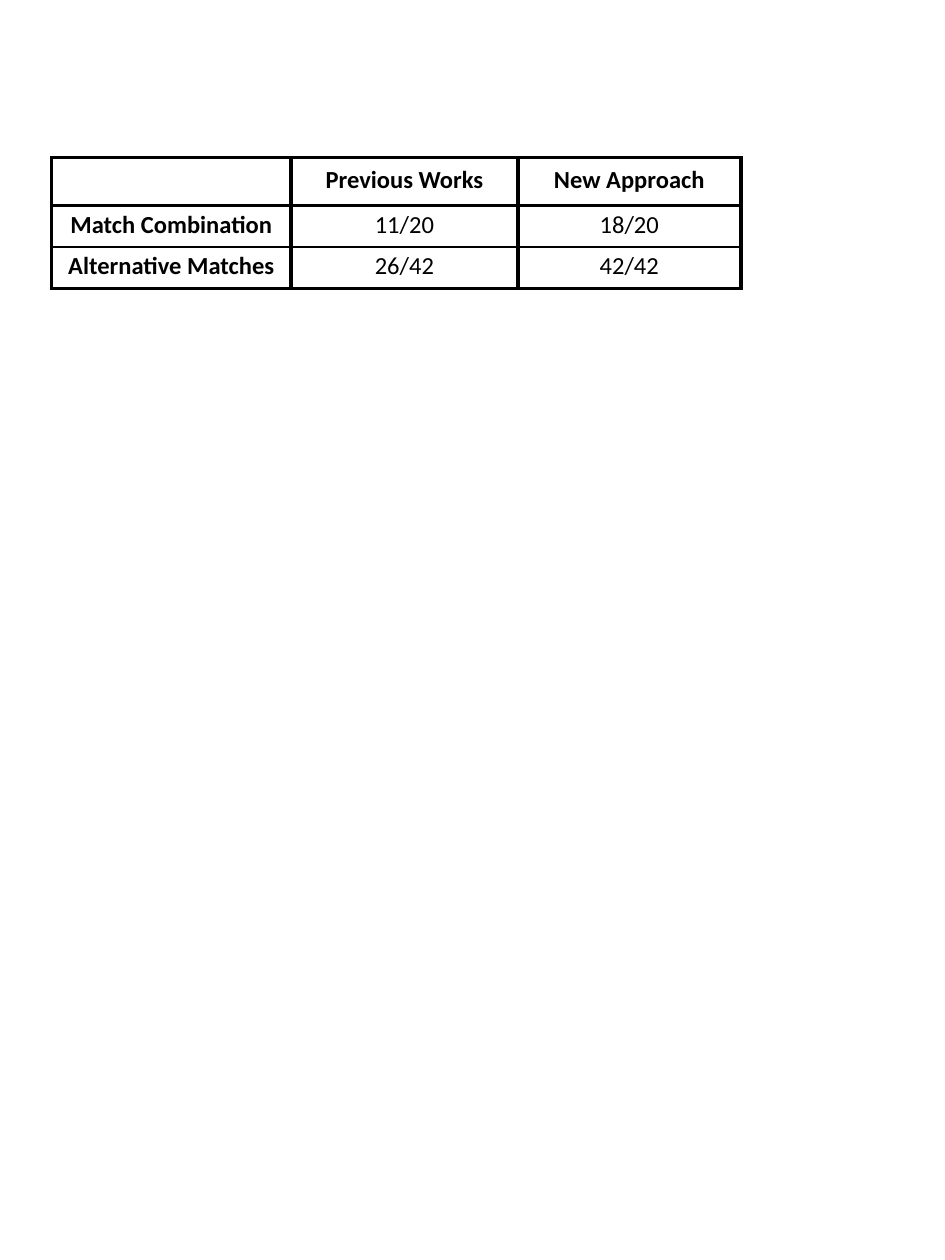
from lxml.etree import SubElement
from pptx import Presentation
from pptx.dml.color import RGBColor as Color
from pptx.enum.text import MSO_ANCHOR as Anchor, PP_ALIGN as Align
from pptx.oxml.ns import qn
from pptx.util import Inches, Pt

COLORS = {"ink": "000000", "paper": "FFFFFF"}
THICK, THIN = 2.25, 1
COLUMN_WIDTHS = [1.9, 1.8, 1.77]
ROW_HEIGHTS = [0.38, 0.32, 0.32]
RESULTS = [
    ["", "Previous Works", "New Approach"],
    ["Match Combination", "11/20", "18/20"],
    ["Alternative Matches", "26/42", "42/42"],
]


def set_borders(cell, widths):
    properties = cell._tc.get_or_add_tcPr()
    for index, (side, width) in enumerate(widths.items()):
        line = properties.makeelement(qn(f"a:ln{side}"), {"w": str(Pt(width))})
        fill = SubElement(line, qn("a:solidFill"))
        SubElement(fill, qn("a:srgbClr"), val=COLORS["ink"])
        properties.insert(index, line)


def fill_cell(cell, text, bold):
    cell.fill.solid()
    cell.fill.fore_color.rgb = Color.from_string(COLORS["paper"])
    cell.vertical_anchor = Anchor.MIDDLE
    cell.margin_left = cell.margin_right = Inches(0.07)
    cell.margin_top = cell.margin_bottom = Inches(0.07 if text else 0.03)
    para = cell.text_frame.paragraphs[0]
    para.alignment = Align.CENTER
    para.line_spacing = 0.8
    if text:
        span = para.add_run()
        span.text = text
        span.font.name = "Calibri"
        span.font.size = Pt(14)
        span.font.bold = bold
        span.font.color.rgb = Color.from_string(COLORS["ink"])


def add_results_table(page, left, top, width, height):
    frame = page.shapes.add_table(
        len(RESULTS), len(COLUMN_WIDTHS),
        Inches(left), Inches(top), Inches(width), Inches(height))
    table = frame.table
    for column, column_width in zip(table.columns, COLUMN_WIDTHS):
        column.width = Inches(column_width)
    for row, row_height in zip(table.rows, ROW_HEIGHTS):
        row.height = Inches(row_height)
    last = len(RESULTS) - 1
    for r, values in enumerate(RESULTS):
        for c, text in enumerate(values):
            cell = table.cell(r, c)
            fill_cell(cell, text, bold=r == 0 or c == 0)
            set_borders(cell, {
                "L": THICK,
                "R": THICK,
                "T": THICK if r < 2 else THIN,
                "B": THICK if r in (0, last) else THIN,
            })


deck = Presentation()
deck.slide_width, deck.slide_height = Inches(7.5), Inches(10)
page = deck.slides.add_slide(deck.slide_layouts[6])
add_results_table(page, 0.41, 1.25, sum(COLUMN_WIDTHS), sum(ROW_HEIGHTS))
deck.save("out.pptx")
